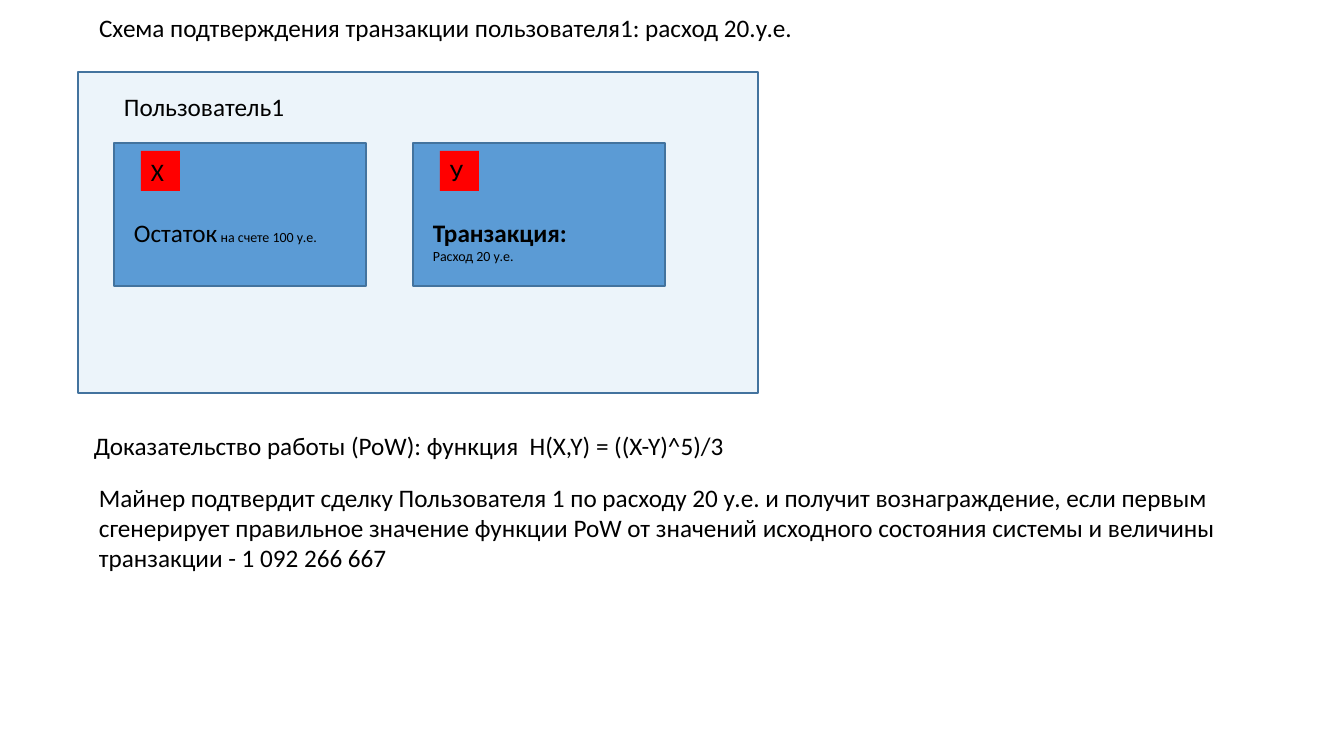
from pptx import Presentation
from pptx.dml.color import RGBColor
from pptx.enum.shapes import MSO_SHAPE
from pptx.enum.text import MSO_ANCHOR, MSO_AUTO_SIZE, PP_ALIGN
from pptx.oxml.ns import qn
from pptx.util import Pt
from lxml import etree

RECT = MSO_SHAPE.RECTANGLE
TOP = MSO_ANCHOR.TOP
LEFT = PP_ALIGN.LEFT
NO_FIT = MSO_AUTO_SIZE.NONE

PX = 914400 / 100.8
FONT = "Calibri"
COLORS = {"blue": "5B9BD5", "edge": "43739E", "red": "FF0000", "text": "000000"}


def write(shape, *paras, size=18, bold=False):
    """Each paragraph is a string or a list of (text, size, bold) runs."""
    frame = shape.text_frame
    frame.word_wrap = True
    frame.auto_size = NO_FIT
    frame.vertical_anchor = TOP
    for i, para in enumerate(paras):
        line = frame.add_paragraph() if i else frame.paragraphs[0]
        line.alignment = LEFT
        line.line_spacing = 1.0
        runs = [(para, size, bold)] if isinstance(para, str) else para
        for text, points, strong in runs:
            run = line.add_run()
            run.text = text
            font = run.font
            font.name, font.size, font.bold = FONT, Pt(points), strong
            font.color.rgb = RGBColor.from_string(COLORS["text"])


def block(box, fill, edge=None):
    shape = slide.shapes.add_shape(RECT, *[round(n * PX) for n in box])
    shape.shadow.inherit = False
    shape.fill.solid()
    shape.fill.fore_color.rgb = RGBColor.from_string(COLORS[fill])
    if edge:
        shape.line.color.rgb = RGBColor.from_string(COLORS[edge])
        shape.line.width = Pt(1)
    else:
        shape.line.fill.background()
    return shape


deck = Presentation()
deck.slide_width, deck.slide_height = round(1344 * PX), round(756 * PX)
slide = deck.slides.add_slide(deck.slide_layouts[5])

# Title
title = slide.shapes.title
title.left, title.top, title.width, title.height = [
    round(n * PX) for n in (89, 7, 800, 40)]
write(title, "Схема подтверждения транзакции пользователя1: расход 20.у.е.")

# User panel, 11 % opaque
panel = block((78, 72, 680, 321), "blue", "edge")
tint = panel._element.spPr.find(qn("a:solidFill"))[0]
etree.SubElement(tint, qn("a:alpha")).set("val", "11000")

# Balance and transaction cards
cards = [
    ("Х", [[("Остаток", 18, False), (" на счете 100 у.е.", 10, False)]]),
    ("У", [[("Транзакция:", 18, True)], [("Расход 20 у.е.", 10, False)]]),
]
for i, (mark, paras) in enumerate(cards):
    left = 114 + 299 * i
    block((left, 143, 252, 143), "blue", "edge")
    write(block((left + 27, 151, 39, 40), "red"), mark)
    label = slide.shapes.add_textbox(
        *[round(n * PX) for n in (left + 10, 212, 232, 57)])
    write(label, *paras)

# User name, proof of work and miner's reward
notes = [
    ((114, 86, 347, 40), "Пользователь1"),
    ((84, 425, 800, 40),
     "Доказательство работы (PoW): функция  H(X,Y) = ((X-Y)^5)/3"),
    ((89, 477, 1203, 102),
     "Майнер подтвердит сделку Пользователя 1 по расходу 20 у.е. и получит "
     "вознаграждение, если первым сгенерирует правильное значение функции PoW "
     "от значений исходного состояния системы и величины транзакции - "
     "1 092 266 667"),
]
for box, text in notes:
    write(slide.shapes.add_textbox(*[round(n * PX) for n in box]), text)

deck.save("out.pptx")
